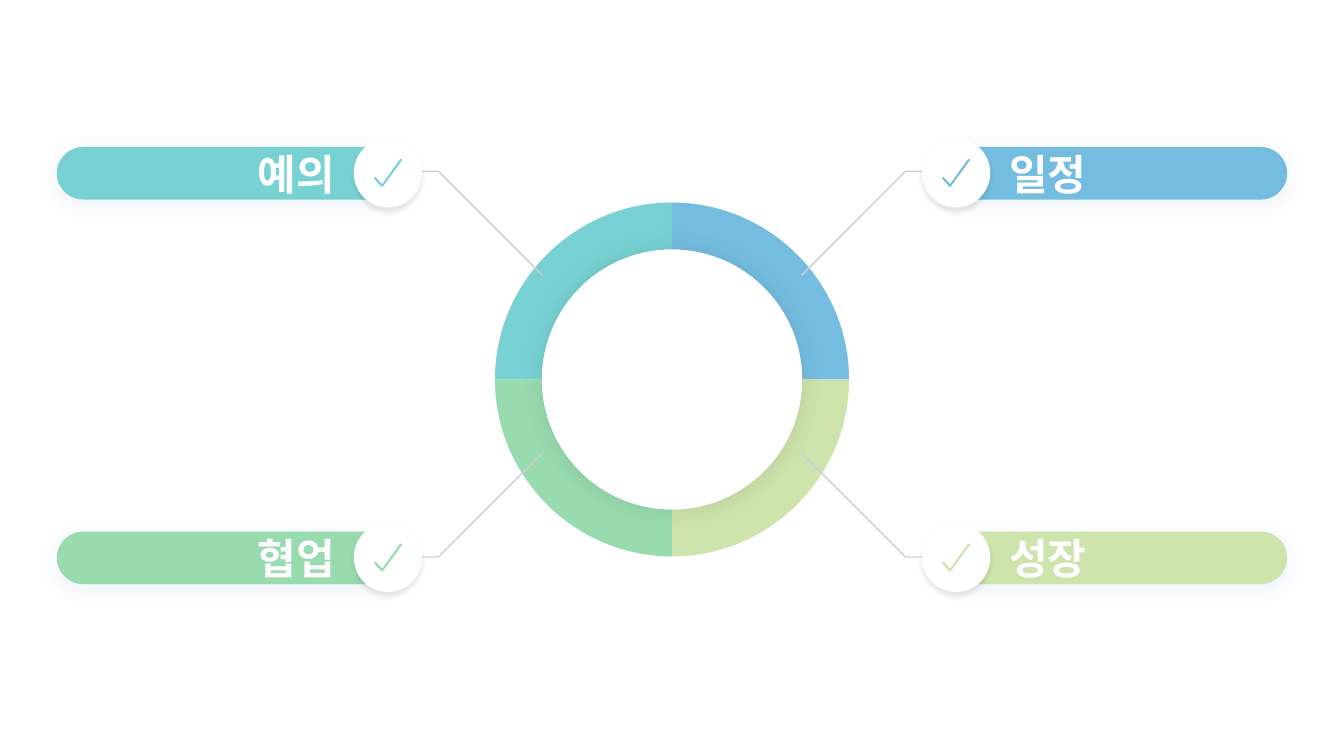
from dataclasses import dataclass

from lxml.etree import SubElement
from pptx import Presentation
from pptx.dml.color import RGBColor
from pptx.enum.shapes import MSO_SHAPE
from pptx.enum.text import MSO_ANCHOR, MSO_AUTO_SIZE, PP_ALIGN
from pptx.oxml.ns import qn
from pptx.util import Inches, Pt

# Grid: 100 columns by 100 rows over the whole slide
WIDTH, HEIGHT = Inches(13.33), Inches(7.5)
FONT = "Noto Sans CJK KR"
WHITE, GREY, DISC_GREY = "FFFFFF", "D0CECE", "F2F2F2"
CENTRE = (50, 50.2)
OUTER, INNER = (13.17, 23.4), (9.68, 17.2)
ARC_PULL = 0.55  # control point distance of a quarter circle
LOWER_STEP = 50.87
LEADER = [(40.35, 36.4), (32.63, 22.67), (4.43, 22.67)]
LEADER_MIRROR = 96.35
TICK_SIZE = (2.08, 3.73)
TICK = [(0.97, 0), (0.92, 0.03), (0.29, 0.9), (0.06, 0.65), (0.01, 0.65),
        (0.01, 0.71), (0.26, 0.99), (0.31, 0.99), (0.99, 0.07), (1, 0.03)]


@dataclass(frozen=True)
class Shadow:
    color: str
    blur: float
    distance: float
    alpha: int = 10
    angle: int = 90


@dataclass(frozen=True)
class Value:
    label: str
    color: str
    right: bool
    lower: bool


@dataclass(frozen=True)
class Area:
    left: float
    top: float
    width: float
    height: float

    def placed(self, value: Value) -> "Area":
        left = 100 - self.left - self.width if value.right else self.left
        top = self.top + (LOWER_STEP if value.lower else 0)
        return Area(left, top, self.width, self.height)

    def lengths(self) -> tuple:
        return (across(self.left), down(self.top),
                across(self.width), down(self.height))


BAR = Area(4.23, 19.45, 25.65, 6.95)
LABEL = Area(5.18, 18.93, 20.1, 8)
BADGE = Area(26.32, 18.3, 5.1, 9.15)
HUB_SHADOW = Shadow("000000", 17, 0, angle=0)
BAR_SHADOW = Shadow("4472C4", 13, 3)
BADGE_SHADOW = Shadow("000000", 4, 3)
VALUES = [
    Value("예의", "78D2D3", right=False, lower=False),
    Value("협업", "98DBAF", right=False, lower=True),
    Value("일정", "74BDE0", right=True, lower=False),
    Value("성장", "CDE4AC", right=True, lower=True),
]


def across(columns: float) -> int:
    return round(WIDTH * columns / 100)


def down(rows: float) -> int:
    return round(HEIGHT * rows / 100)


def paint(fill, color: str) -> None:
    fill.solid()
    fill.fore_color.rgb = RGBColor.from_string(color)


def finish(shape, color: str, shadow: Shadow | None = None) -> None:
    paint(shape.fill, color)
    shape.line.fill.background()
    shape.shadow.inherit = False
    if shadow:
        effects = shape._element.spPr.find(qn("a:effectLst"))
        outer = SubElement(effects, qn("a:outerShdw"), {
            "blurRad": str(Pt(shadow.blur)), "dist": str(Pt(shadow.distance)),
            "dir": str(shadow.angle * 60000), "algn": "ctr", "rotWithShape": "0"})
        tone = SubElement(outer, qn("a:srgbClr"), val=shadow.color)
        SubElement(tone, qn("a:alpha"), val=str(shadow.alpha * 1000))


def add_preset(shapes, kind, area: Area, color: str, shadow: Shadow | None = None):
    shape = shapes.add_shape(kind, *area.lengths())
    finish(shape, color, shadow)
    return shape


def add_outline(shapes, points: list, close: bool = True):
    corners = [(across(x), down(y)) for x, y in points]
    builder = shapes.build_freeform(*corners[0])
    builder.add_line_segments(corners[1:], close=close)
    return builder.convert_to_shape()


def bend(shape, first_steps: tuple) -> None:
    """Join three straight steps, from each given one on, into a curve."""
    steps = list(shape._element.spPr.iter(qn("a:lnTo")))
    for first in first_steps:
        curve, *others = steps[first:first + 3]
        curve.tag = qn("a:cubicBezTo")
        for step in others:
            curve.append(step[0])
            step.getparent().remove(step)


def quarter_arc(radius: tuple, value: Value) -> list:
    x = radius[0] if value.right else -radius[0]
    y = radius[1] if value.lower else -radius[1]
    offsets = [(x, 0), (x, y * ARC_PULL), (x * ARC_PULL, y), (0, y)]
    return [(CENTRE[0] + dx, CENTRE[1] + dy) for dx, dy in offsets]


def around(radius: tuple) -> Area:
    return Area(CENTRE[0] - radius[0], CENTRE[1] - radius[1],
                2 * radius[0], 2 * radius[1])


def add_ring(shapes) -> None:
    add_preset(shapes, MSO_SHAPE.OVAL, around(OUTER), DISC_GREY)
    for value in sorted(VALUES, key=lambda value: value.lower):
        points = quarter_arc(OUTER, value) + quarter_arc(INNER, value)[::-1]
        quarter = add_outline(shapes, points)
        bend(quarter, (0, 4))
        finish(quarter, value.color)
    add_preset(shapes, MSO_SHAPE.OVAL, around(INNER), WHITE, HUB_SHADOW)


def add_leader(shapes, value: Value) -> None:
    points = [(100 - x if value.right else x,
               LEADER_MIRROR - y if value.lower else y) for x, y in LEADER]
    leader = add_outline(shapes, points, close=False)
    leader.fill.background()
    paint(leader.line.fill, GREY)
    leader.line.width = Pt(1)
    leader.shadow.inherit = False


def add_label(shapes, value: Value) -> None:
    frame = shapes.add_textbox(*LABEL.placed(value).lengths()).text_frame
    frame_format = {"word_wrap": True, "vertical_anchor": MSO_ANCHOR.MIDDLE,
                    "auto_size": MSO_AUTO_SIZE.SHAPE_TO_FIT_TEXT}
    for side in ("left", "right", "top", "bottom"):
        frame_format[f"margin_{side}"] = Inches(0.05)
    for name, setting in frame_format.items():
        setattr(frame, name, setting)
    para = frame.paragraphs[0]
    para.alignment = PP_ALIGN.LEFT if value.right else PP_ALIGN.RIGHT
    span = para.add_run()
    span.text = value.label
    for name, setting in {"size": Pt(30), "bold": True, "name": FONT}.items():
        setattr(span.font, name, setting)
    paint(span.font.fill, WHITE)
    SubElement(span._r.get_or_add_rPr(), qn("a:ea"), typeface=FONT)


def add_value(page, value: Value) -> None:
    shapes = page.shapes.add_group_shape().shapes
    add_leader(shapes, value)
    bar = add_preset(shapes, MSO_SHAPE.ROUNDED_RECTANGLE, BAR.placed(value),
                     value.color, BAR_SHADOW)
    bar.adjustments[0] = 0.5
    add_label(shapes, value)
    # Badge with a tick in its middle
    badge = BADGE.placed(value)
    add_preset(shapes, MSO_SHAPE.OVAL, badge, WHITE, BADGE_SHADOW)
    left = badge.left + (badge.width - TICK_SIZE[0]) / 2
    top = badge.top + (badge.height - TICK_SIZE[1]) / 2
    points = [(left + x * TICK_SIZE[0], top + y * TICK_SIZE[1]) for x, y in TICK]
    finish(add_outline(shapes, points), value.color)


def main() -> None:
    deck = Presentation()
    deck.slide_width, deck.slide_height = WIDTH, HEIGHT
    page = deck.slides.add_slide(deck.slide_layouts[6])
    add_ring(page.shapes)
    for value in VALUES:
        add_value(page, value)
    deck.save("out.pptx")


if __name__ == "__main__":
    main()
